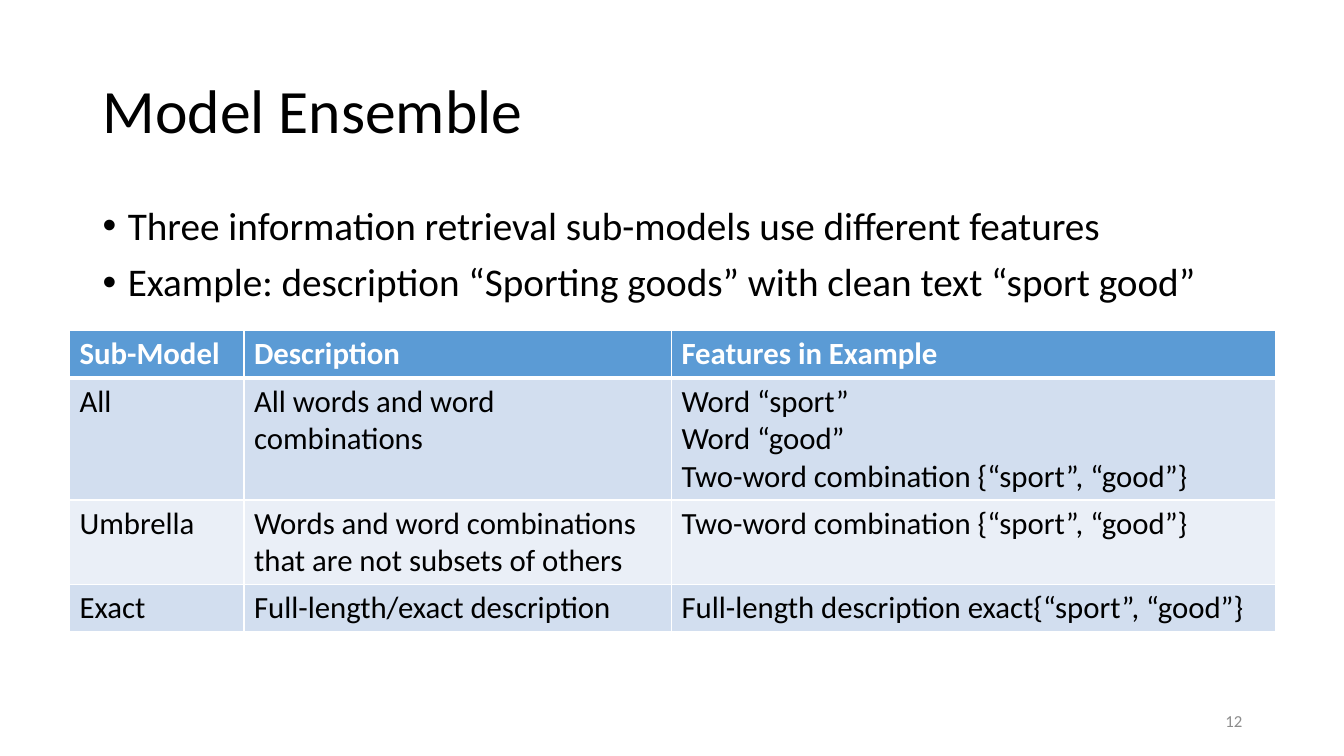
from dataclasses import dataclass, field

import pptx
import pptx.dml.color
import pptx.enum.text
import pptx.oxml
import pptx.oxml.ns
import pptx.util
from lxml import etree

PX = 9144
FONT = "Calibri"
BLACK, WHITE, GREY = "000000", "FFFFFF", "8C8C8C"
HEADER_FILL = "5B9BD5"
BAND_FILLS = ("D2DEEF", "EAEFF7")
ANCHOR = pptx.enum.text.MSO_ANCHOR
ALIGN = pptx.enum.text.PP_ALIGN


@dataclass
class TextBlock:
    left: int
    top: int
    width: int
    height: int
    lines: list[str]
    size: int
    color: str = BLACK
    anchor: ANCHOR = ANCHOR.MIDDLE
    para: dict = field(default_factory=dict)
    bullet: bool = False


@dataclass
class ModelTable:
    left: int
    top: int
    cols: list[int]
    heights: list[int]
    rows: list[list[str]]


BLOCKS = [
    TextBlock(92, 40, 1150, 145, ["Model Ensemble"], 44, para={"line_spacing": 0.9}),
    TextBlock(
        92, 200, 1150, 145,
        [
            "Three information retrieval sub-models use different features",
            "Example: description “Sporting goods” with clean text “sport good”",
        ],
        28,
        anchor=ANCHOR.TOP,
        para={"line_spacing": 0.9, "space_before": pptx.util.Pt(10)},
        bullet=True,
    ),
    TextBlock(942, 695, 300, 40, ["12"], 12, GREY, para={"alignment": ALIGN.RIGHT}),
]

SUB_MODELS = ModelTable(
    69, 328, [173, 424, 599], [47, 121, 84, 47],
    [
        ["Sub-Model", "Description", "Features in Example"],
        [
            "All",
            "All words and word combinations",
            "Word “sport”\nWord “good”\nTwo-word combination {“sport”, “good”}",
        ],
        [
            "Umbrella",
            "Words and word combinations that are not subsets of others",
            "Two-word combination {“sport”, “good”}",
        ],
        [
            "Exact",
            "Full-length/exact description",
            "Full-length description exact{“sport”, “good”}",
        ],
    ],
)


def px(n: int) -> pptx.util.Emu:
    return pptx.util.Emu(n * PX)


def rgb(value: str) -> pptx.dml.color.RGBColor:
    return pptx.dml.color.RGBColor.from_string(value)


def apply(target, values: dict) -> None:
    for name, value in values.items():
        setattr(target, name, value)


def add_bullet(p) -> None:
    pPr = p._p.get_or_add_pPr()
    pPr.set("marL", str(px(25)))
    pPr.set("indent", str(px(-25)))
    for tag, attr, value in (("buFont", "typeface", "Arial"), ("buChar", "char", "•")):
        etree.SubElement(pPr, pptx.oxml.ns.qn(f"a:{tag}")).set(attr, value)


def write(tf, lines: list[str], size: int, color: str, bold: bool = False,
          para: dict | None = None, bullet: bool = False) -> None:
    for i, line in enumerate(lines):
        p = tf.paragraphs[0] if i == 0 else tf.add_paragraph()
        apply(p, para or {})
        if bullet:
            add_bullet(p)
        r = p.add_run()
        r.text = line
        apply(r.font, {"name": FONT, "size": pptx.util.Pt(size), "bold": bold})
        r.font.color.rgb = rgb(color)


def add_text(s, block: TextBlock) -> None:
    sp = s.shapes.add_textbox(*map(px, (block.left, block.top, block.width, block.height)))
    tf = sp.text_frame
    apply(tf, {"word_wrap": True, "vertical_anchor": block.anchor})
    write(tf, block.lines, block.size, block.color, para=block.para, bullet=block.bullet)


def add_borders(cell, widths: dict[str, int]) -> None:
    tcPr = cell._tc.get_or_add_tcPr()
    for side, width in widths.items():
        tcPr.append(pptx.oxml.parse_xml(
            f'<a:ln{side} {pptx.oxml.ns.nsdecls("a")} w="{pptx.util.Pt(width)}">'
            f'<a:solidFill><a:srgbClr val="{WHITE}"/></a:solidFill></a:ln{side}>'
        ))


def add_model_table(s, spec_table: ModelTable) -> None:
    t = spec_table
    box = (t.left, t.top, sum(t.cols), sum(t.heights))
    table = s.shapes.add_table(len(t.rows), len(t.cols), *map(px, box)).table
    for col, width in zip(table.columns, t.cols):
        col.width = px(width)
    for i, (row, height, texts) in enumerate(zip(table.rows, t.heights, t.rows)):
        row.height = px(height)
        header = i == 0
        fill = HEADER_FILL if header else BAND_FILLS[(i - 1) % 2]
        widths = {"L": 1, "R": 1, "T": 3 if i == 1 else 1, "B": 3 if header else 1}
        for cell, text in zip(row.cells, texts):
            add_borders(cell, widths)
            cell.fill.solid()
            cell.fill.fore_color.rgb = rgb(fill)
            write(cell.text_frame, text.split("\n"), 22, WHITE if header else BLACK, header)


def main() -> None:
    prs = pptx.Presentation()
    apply(prs, {"slide_width": px(1333), "slide_height": px(750)})
    s = prs.slides.add_slide(prs.slide_layouts[6])
    for block in BLOCKS:
        add_text(s, block)
    add_model_table(s, SUB_MODELS)
    prs.save("out.pptx")


if __name__ == "__main__":
    main()
